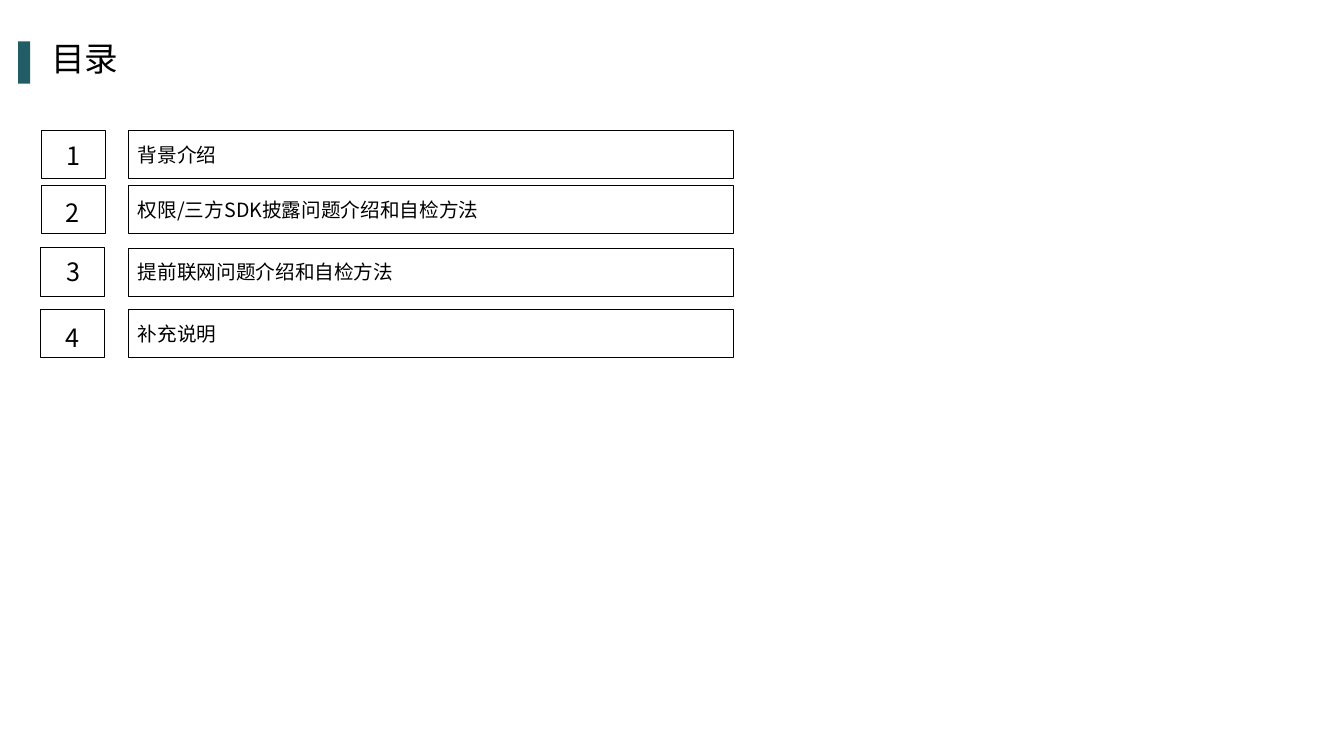
import pptx
import pptx.dml.color
import pptx.enum.shapes
import pptx.enum.text
import pptx.oxml
import pptx.oxml.ns
import pptx.util

FONT = "Noto Sans CJK SC"
BLACK, WHITE, TEAL = "000000", "FFFFFF", "215D66"
LEFT = pptx.enum.text.PP_ALIGN.LEFT
CENTER = pptx.enum.text.PP_ALIGN.CENTER
MIDDLE = pptx.enum.text.MSO_ANCHOR.MIDDLE
TOP = pptx.enum.text.MSO_ANCHOR.TOP
inches = pptx.util.Inches

presentation = pptx.Presentation()
presentation.slide_width = inches(13.33)
presentation.slide_height = inches(7.5)
slide = presentation.slides.add_slide(presentation.slide_layouts[5])


def add_box(left, top, width, height, fill=None, line_width=None):
    shape = slide.shapes.add_shape(
        pptx.enum.shapes.MSO_SHAPE.RECTANGLE,
        inches(left), inches(top), inches(width), inches(height))
    shape.shadow.inherit = False
    if fill:
        shape.fill.solid()
        shape.fill.fore_color.rgb = pptx.dml.color.RGBColor.from_string(fill)
    else:
        shape.fill.background()
    if line_width:
        shape.line.color.rgb = pptx.dml.color.RGBColor.from_string(BLACK)
        shape.line.width = pptx.util.Pt(line_width)
    else:
        shape.line.fill.background()
    return shape


def write(shape, text, size, alignment, anchor, wrap=True):
    """Fill the shape with one line of text, in Latin and East Asian font alike."""
    frame = shape.text_frame
    frame.text = text
    frame.word_wrap = wrap
    frame.vertical_anchor = anchor
    paragraph = frame.paragraphs[0]
    paragraph.alignment = alignment
    font = paragraph.runs[0].font
    font.size = pptx.util.Pt(size)
    font.name = FONT
    font.color.rgb = pptx.dml.color.RGBColor.from_string(BLACK)
    properties = paragraph.runs[0]._r.get_or_add_rPr()
    east_asian = pptx.oxml.parse_xml(
        f'<a:ea {pptx.oxml.ns.nsdecls("a")} typeface="{FONT}"/>')
    properties.find(pptx.oxml.ns.qn("a:latin")).addnext(east_asian)


# Title with its accent bar
add_box(0.18, 0.41, 0.12, 0.42, fill=TEAL)
title = slide.shapes.title
title_place = {"left": 0.41, "top": 0.35, "width": 7.63, "height": 0.5}
for name, value in title_place.items():
    setattr(title, name, inches(value))
write(title, "目录", 24, LEFT, MIDDLE)
title.text_frame.paragraphs[0].line_spacing = 0.9

# Contents: row top, number box left, number left and top, heading
entries = [
    (1.29, 0.41, 0.55, 1.34, "背景介绍"),
    (1.84, 0.41, 0.54, 1.91, "权限/三方SDK披露问题介绍和自检方法"),
    (2.46, 0.40, 0.55, 2.49, "提前联网问题介绍和自检方法"),
    (3.07, 0.40, 0.54, 3.15, "补充说明"),
]
for number, (top, box_left, number_left, number_top, heading) in enumerate(entries, 1):
    add_box(box_left, top, 0.64, 0.48, line_width=0.75)
    heading_box = add_box(1.27, top, 6, 0.48, fill=WHITE, line_width=0.5)
    write(heading_box, heading, 14, LEFT, MIDDLE)
    number_text = slide.shapes.add_textbox(
        inches(number_left), inches(number_top), inches(0.36), inches(0.4))
    write(number_text, str(number), 18, CENTER, TOP, wrap=False)

presentation.save("out.pptx")
